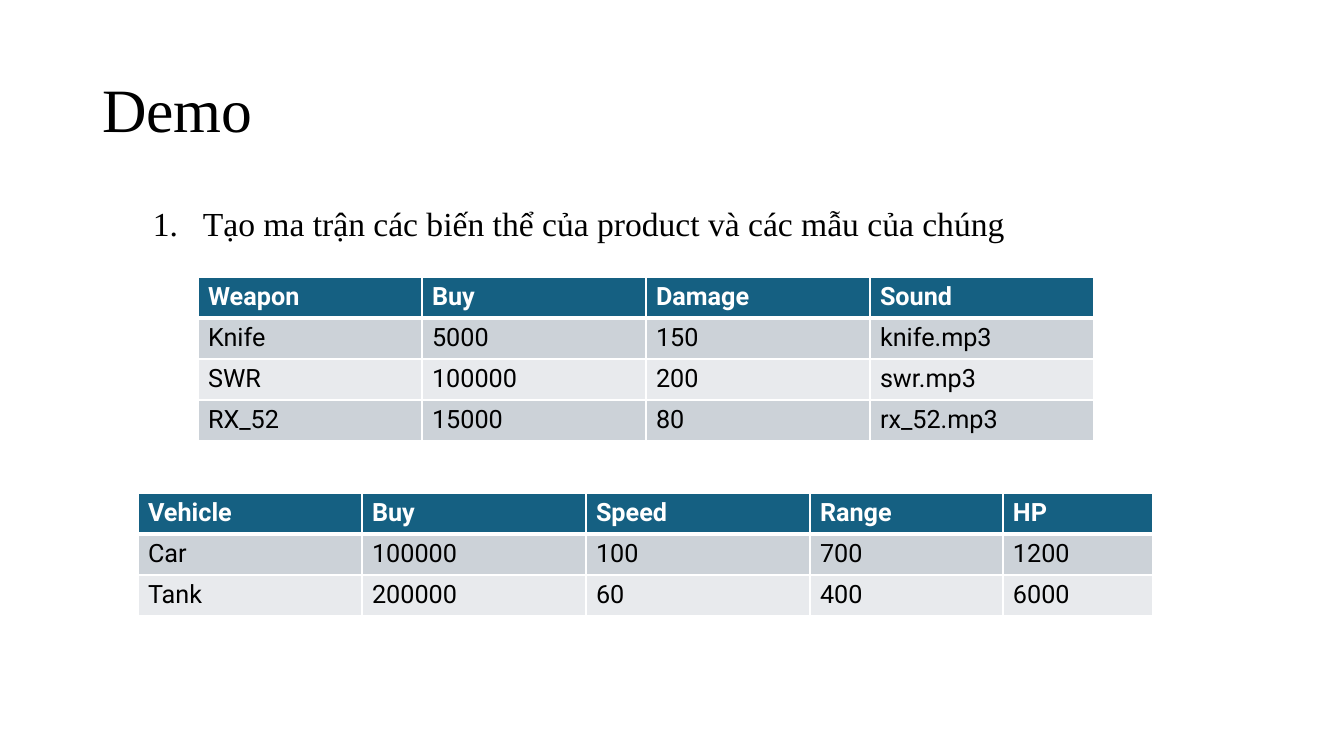
from dataclasses import dataclass

from lxml.etree import SubElement
from pptx import Presentation
from pptx.dml.color import RGBColor
from pptx.enum.text import MSO_ANCHOR, MSO_AUTO_SIZE, PP_ALIGN
from pptx.oxml.ns import qn
from pptx.util import Pt

EMU_PER_PX = 914400 / 100.8


@dataclass(frozen=True)
class Theme:
    ink: RGBColor = RGBColor.from_string("000000")
    paper: RGBColor = RGBColor.from_string("FFFFFF")
    header: RGBColor = RGBColor.from_string("156082")
    bands: tuple = (RGBColor.from_string("CCD2D8"), RGBColor.from_string("E8EAED"))
    text_font: str = "Times New Roman"
    table_font: str = "Roboto"
    title_size: int = 44
    step_size: int = 24
    cell_size: int = 18
    thin_rule: int = 1
    header_rule: int = 3


theme = Theme()


def px(length):
    return round(length * EMU_PER_PX)


def style(paragraph, font_name, size, color, bold=False):
    font = paragraph.font
    font.name, font.size, font.bold = font_name, Pt(size), bold
    font.color.rgb = color


deck = Presentation()
deck.slide_width, deck.slide_height = px(1344), px(756)
slide = deck.slides.add_slide(deck.slide_layouts[5])
slide.background.fill.solid()
slide.background.fill.fore_color.rgb = theme.paper

# Title
title = slide.shapes.title
title.left, title.top, title.width, title.height = px(92), px(40), px(1159), px(146)
title.text_frame.text = "Demo"
title.text_frame.auto_size = MSO_AUTO_SIZE.NONE
title.text_frame.vertical_anchor = MSO_ANCHOR.MIDDLE
heading = title.text_frame.paragraphs[0]
heading.alignment = PP_ALIGN.LEFT
heading.line_spacing = 0.9
style(heading, theme.text_font, theme.title_size, theme.ink)

# Numbered step
steps = slide.shapes.add_textbox(px(92), px(202), px(1159), px(480)).text_frame
steps.word_wrap = True
step = steps.paragraphs[0]
step.text = "Tạo ma trận các biến thể của product và các mẫu của chúng"
step.level = 1
step.line_spacing = 0.9
step.space_before = Pt(5)
style(step, theme.text_font, theme.step_size, theme.ink)
step_props = step._p.get_or_add_pPr()
step_props.set("marL", str(px(101)))
step_props.set("indent", str(px(-50)))
numbering = step_props.makeelement(qn("a:buAutoNum"), {"type": "arabicPeriod"})
step_props.find(qn("a:defRPr")).addprevious(numbering)

# Product tables: left, top, column widths, rows
ROW_HEIGHT = 41
products = [
    (198, 277, [224] * 4, [
        ["Weapon", "Buy", "Damage", "Sound"],
        ["Knife", "5000", "150", "knife.mp3"],
        ["SWR", "100000", "200", "swr.mp3"],
        ["RX_52", "15000", "80", "rx_52.mp3"],
    ]),
    (138, 493, [224, 224, 224, 193, 150], [
        ["Vehicle", "Buy", "Speed", "Range", "HP"],
        ["Car", "100000", "100", "700", "1200"],
        ["Tank", "200000", "60", "400", "6000"],
    ]),
]

for left, top, widths, rows in products:
    table = slide.shapes.add_table(
        len(rows), len(widths), px(left), px(top),
        px(sum(widths)), px(ROW_HEIGHT * len(rows)),
    ).table
    for column, width in zip(table.columns, widths):
        column.width = px(width)

    for row_index, values in enumerate(rows):
        table.rows[row_index].height = px(ROW_HEIGHT)
        is_header = row_index == 0
        for column_index, value in enumerate(values):
            cell = table.cell(row_index, column_index)
            cell.text = value
            style(cell.text_frame.paragraphs[0], theme.table_font, theme.cell_size,
                  theme.paper if is_header else theme.ink, is_header)

            # Borders come before the fill in the cell properties
            cell_props = cell._tc.get_or_add_tcPr()
            for side in ("lnL", "lnR", "lnT", "lnB"):
                below_header = (row_index, side) in ((0, "lnB"), (1, "lnT"))
                weight = theme.header_rule if below_header else theme.thin_rule
                border = SubElement(cell_props, qn(f"a:{side}"), w=str(Pt(weight)))
                paint = SubElement(border, qn("a:solidFill"))
                SubElement(paint, qn("a:srgbClr"), val=str(theme.paper))
            cell.fill.solid()
            cell.fill.fore_color.rgb = (
                theme.header if is_header else theme.bands[(row_index - 1) % 2])

deck.save("out.pptx")
